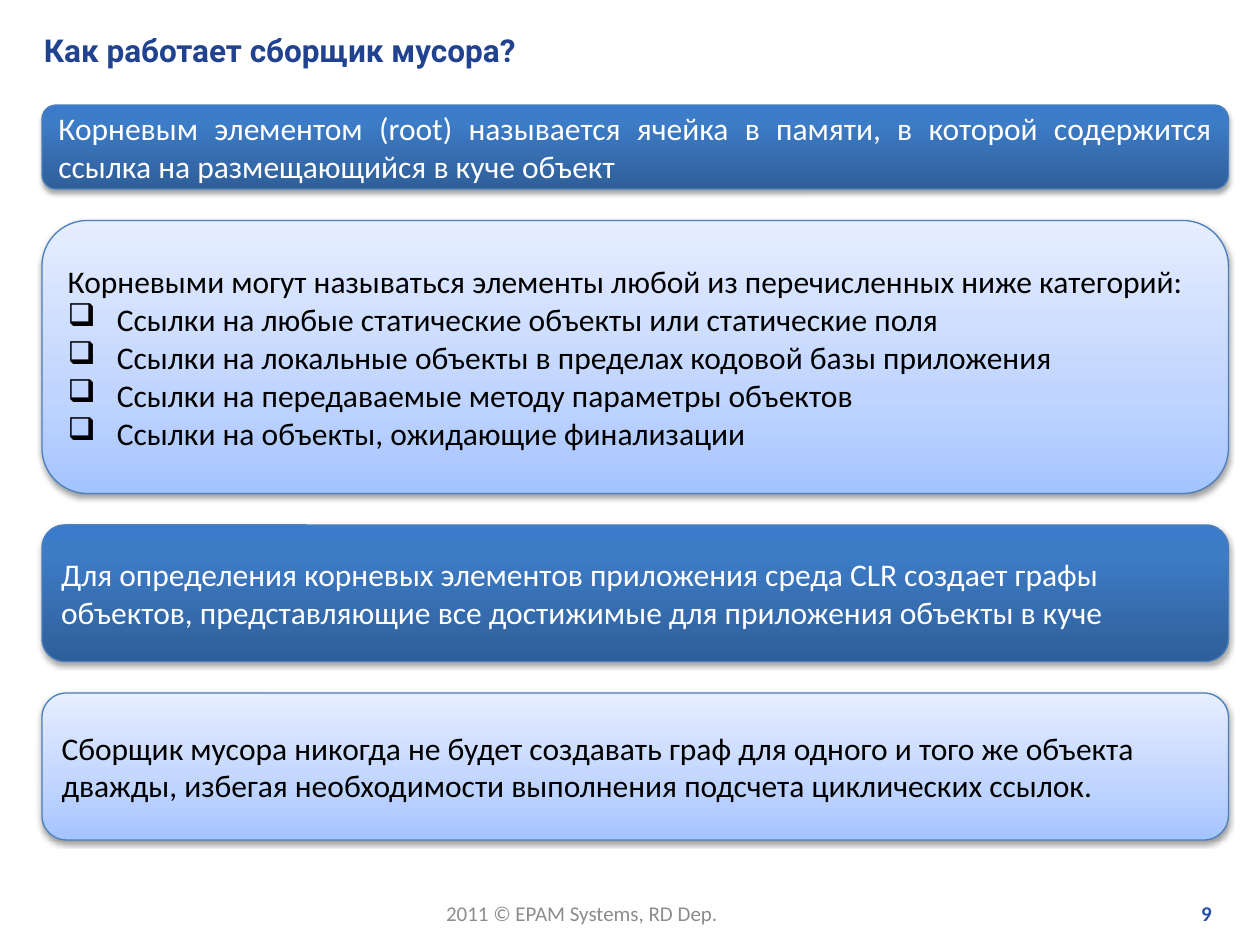
from dataclasses import dataclass

from lxml.etree import SubElement
from pptx import Presentation
from pptx.dml.color import RGBColor
from pptx.enum.shapes import MSO_SHAPE
from pptx.enum.text import MSO_ANCHOR, PP_ALIGN
from pptx.oxml.ns import qn
from pptx.util import Emu, Inches, Pt


@dataclass(frozen=True)
class Theme:
    """Colours, type sizes and panel looks."""
    body_font: str = "Calibri"
    title_font: str = "Roboto"
    body_size: int = 18
    footer_size: int = 12
    title: str = "21438F"
    footer: str = "8C8C8C"
    number: str = "2750AB"
    outline: str = "4B7EBC"
    dark = dict(stops=((0, "2F5F99"), (80, "3D7CC7"), (100, "3A7CCB")),
                ink="FFFFFF", opacity=35, distance=1.8)
    light = dict(stops=((0, "A4C4FF"), (35, "BFD4FF"), (100, "E6EEFF")),
                 ink="000000", opacity=38, distance=1.6)


class SlideBuilder:
    """Draws styled elements on a grid of 120 columns by 90 rows."""

    def __init__(self, deck, theme):
        """Add a blank slide and measure the grid."""
        self.theme = theme
        self.slide = deck.slides.add_slide(deck.slide_layouts[6])
        self.column, self.row = deck.slide_width / 120, deck.slide_height / 90

    def place(self, left, top, width, height):
        """Turn grid units into slide lengths."""
        return [Emu(round(units * step)) for units, step in
                zip((left, top, width, height), (self.column, self.row) * 2)]

    def set_text(self, paragraph, text, color, name=None, size=None, bold=False, **layout):
        """Fill one paragraph and apply its format values."""
        paragraph.text = text
        formats = dict(name=name or self.theme.body_font,
                       size=Pt(size or self.theme.body_size), bold=bold)
        font = paragraph.runs[0].font
        for key, value in formats.items():
            setattr(font, key, value)
        font.color.rgb = RGBColor.from_string(color)
        for key, value in layout.items():
            setattr(paragraph, key, value)

    def label(self, area, text, color, wrap=True, **formats):
        """Add a plain text box."""
        frame = self.slide.shapes.add_textbox(*self.place(*area)).text_frame
        frame.word_wrap = wrap
        frame.vertical_anchor = MSO_ANCHOR.MIDDLE
        self.set_text(frame.paragraphs[0], text, color, **formats)

    def gradient(self, panel, stops):
        """Fill a panel with a bottom-to-top gradient."""
        panel.fill.gradient()
        gradient = panel._element.spPr.find(qn("a:gradFill"))
        for child in list(gradient):
            gradient.remove(child)
        stop_list = SubElement(gradient, qn("a:gsLst"))
        for percent, color in stops:
            stop = SubElement(stop_list, qn("a:gs"), pos=str(percent * 1000))
            SubElement(stop, qn("a:srgbClr"), val=color)
        SubElement(gradient, qn("a:lin"), ang="16200000", scaled="0")

    def shadow(self, panel, opacity, distance):
        """Cast a soft black shadow straight down."""
        panel.shadow.inherit = False
        effects = panel._element.spPr.find(qn("a:effectLst"))
        cast = SubElement(effects, qn("a:outerShdw"), blurRad=str(Pt(3.1)),
                          dist=str(Pt(distance)), dir="5400000", rotWithShape="0")
        black = SubElement(cast, qn("a:srgbClr"), val="000000")
        SubElement(black, qn("a:alpha"), val=str(opacity * 1000))

    def bullet(self, paragraph):
        """Give a paragraph a hanging box bullet."""
        indent = Inches(0.39)
        properties = paragraph._p.get_or_add_pPr()
        properties.set("marL", str(indent))
        properties.set("indent", str(-indent))
        SubElement(properties, qn("a:buChar"), char="❑")

    def panel(self, area, look, text, bullets=(), **layout):
        """Add a rounded panel with a statement and optional bullets."""
        panel = self.slide.shapes.add_shape(MSO_SHAPE.ROUNDED_RECTANGLE, *self.place(*area))
        self.gradient(panel, look["stops"])
        panel.line.color.rgb = RGBColor.from_string(self.theme.outline)
        panel.line.width = Pt(0.75)
        self.shadow(panel, look["opacity"], look["distance"])
        frame = panel.text_frame
        frame.word_wrap = True
        frame.vertical_anchor = MSO_ANCHOR.MIDDLE
        layout = dict(alignment=PP_ALIGN.LEFT) | layout
        self.set_text(frame.paragraphs[0], text, look["ink"], **layout)
        for item in bullets:
            paragraph = frame.add_paragraph()
            self.bullet(paragraph)
            self.set_text(paragraph, item, look["ink"], **layout)


def main():
    """Build and save the slide."""
    deck = Presentation()
    deck.slide_width, deck.slide_height = Inches(10), Inches(7.5)
    theme = Theme()
    page = SlideBuilder(deck, theme)

    page.label((41.3, 85.2, 28.7, 3.6), "2011 © EPAM Systems, RD Dep.", theme.footer,
               wrap=False, size=theme.footer_size)
    page.label((91.2, 85.2, 25.4, 3.6), "9", theme.number, size=theme.footer_size,
               bold=True, alignment=PP_ALIGN.RIGHT)
    page.label((3, 2.4, 114.5, 4.8), "Как работает сборщик мусора?", theme.title,
               name=theme.title_font, bold=True)

    root_kinds = (
        "Ссылки на любые статические объекты или статические поля",
        "Ссылки на локальные объекты в пределах кодовой базы приложения",
        "Ссылки на передаваемые методу параметры объектов",
        "Ссылки на объекты, ожидающие финализации",
    )
    statements = (
        (8, theme.dark, "Корневым элементом (root) называется ячейка в памяти, в которой "
         "содержится ссылка на размещающийся в куче объект",
         dict(alignment=PP_ALIGN.JUSTIFY, space_after=Pt(10))),
        (26, theme.light, "Корневыми могут называться элементы любой из перечисленных ниже "
         "категорий:", dict(bullets=root_kinds)),
        (13, theme.dark, "Для определения корневых элементов приложения среда CLR создает графы "
         "объектов, представляющие все достижимые для приложения объекты в куче", {}),
        (14, theme.light, "Сборщик мусора никогда не будет создавать граф для одного и того же "
         "объекта дважды, избегая необходимости выполнения подсчета циклических ссылок.", {}),
    )
    top, gap = 10, 3
    for height, look, text, options in statements:
        page.panel((4, top, 113, height), look, text, **options)
        top += height + gap

    deck.save("out.pptx")


if __name__ == "__main__":
    main()
